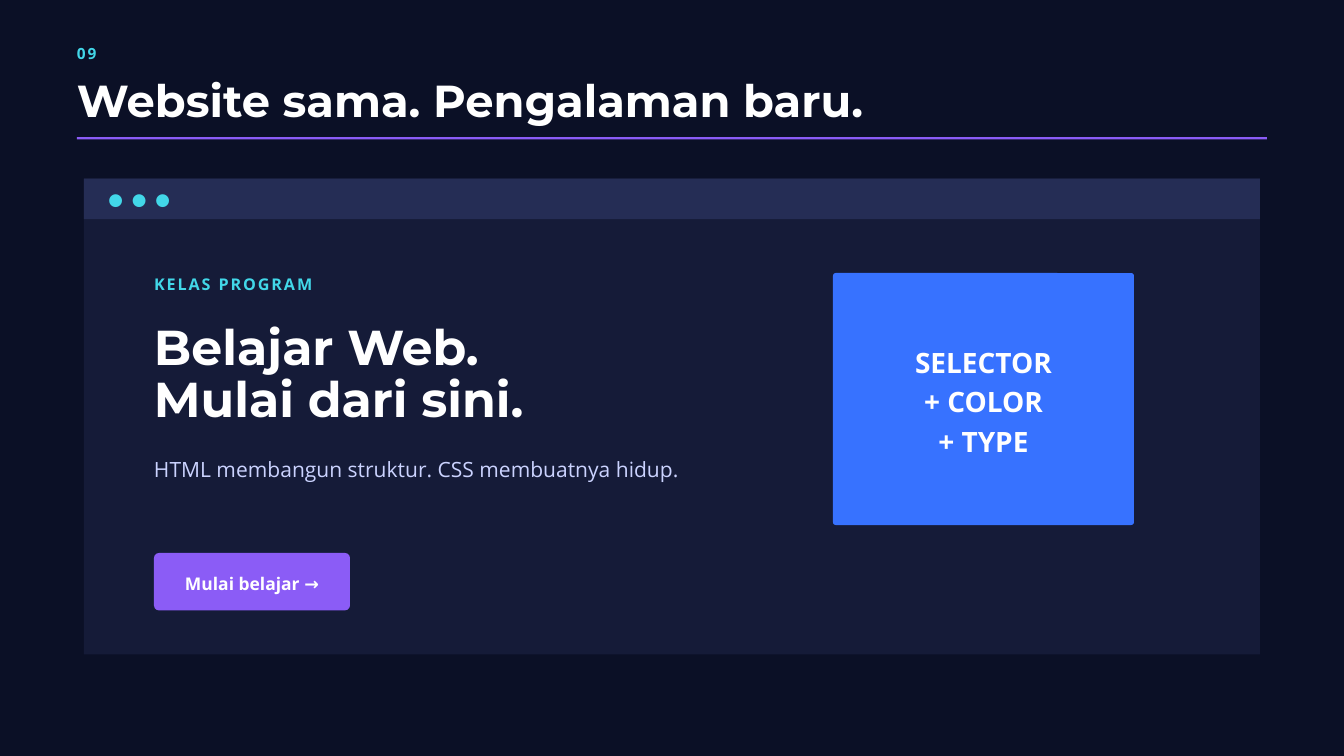
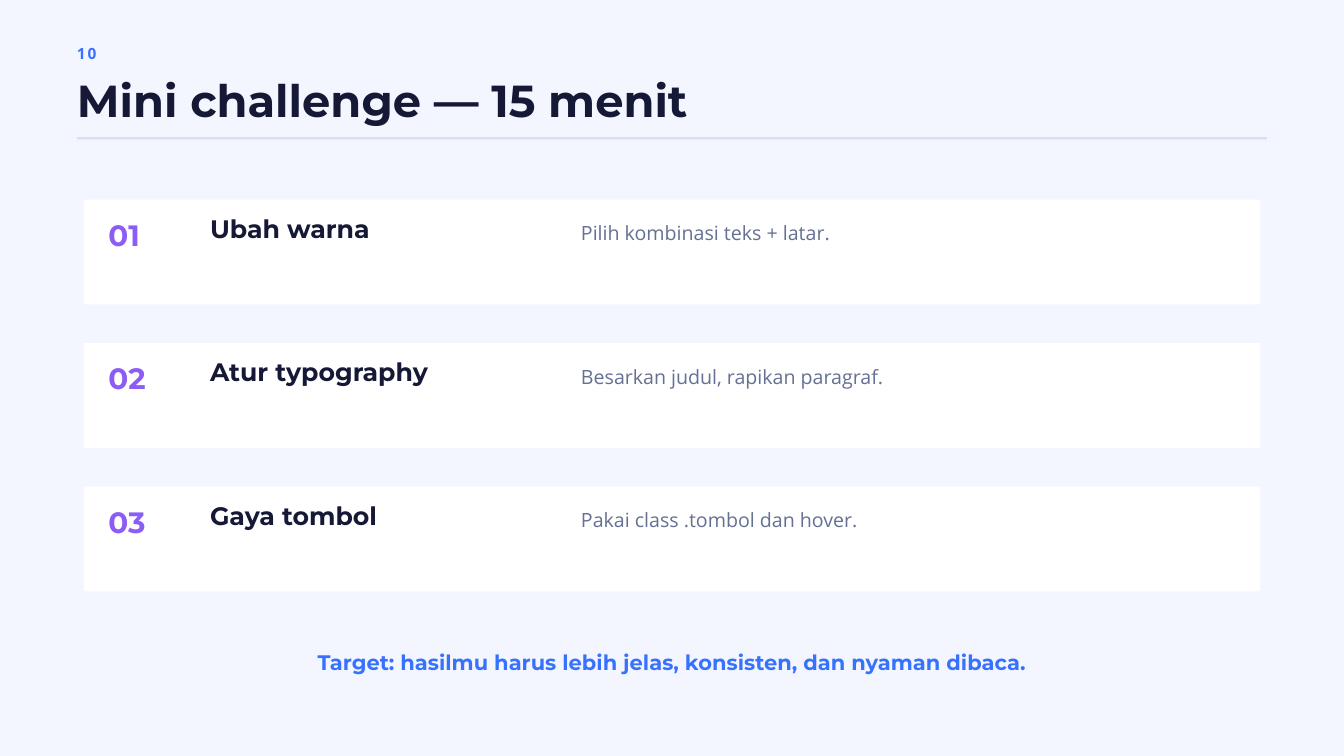
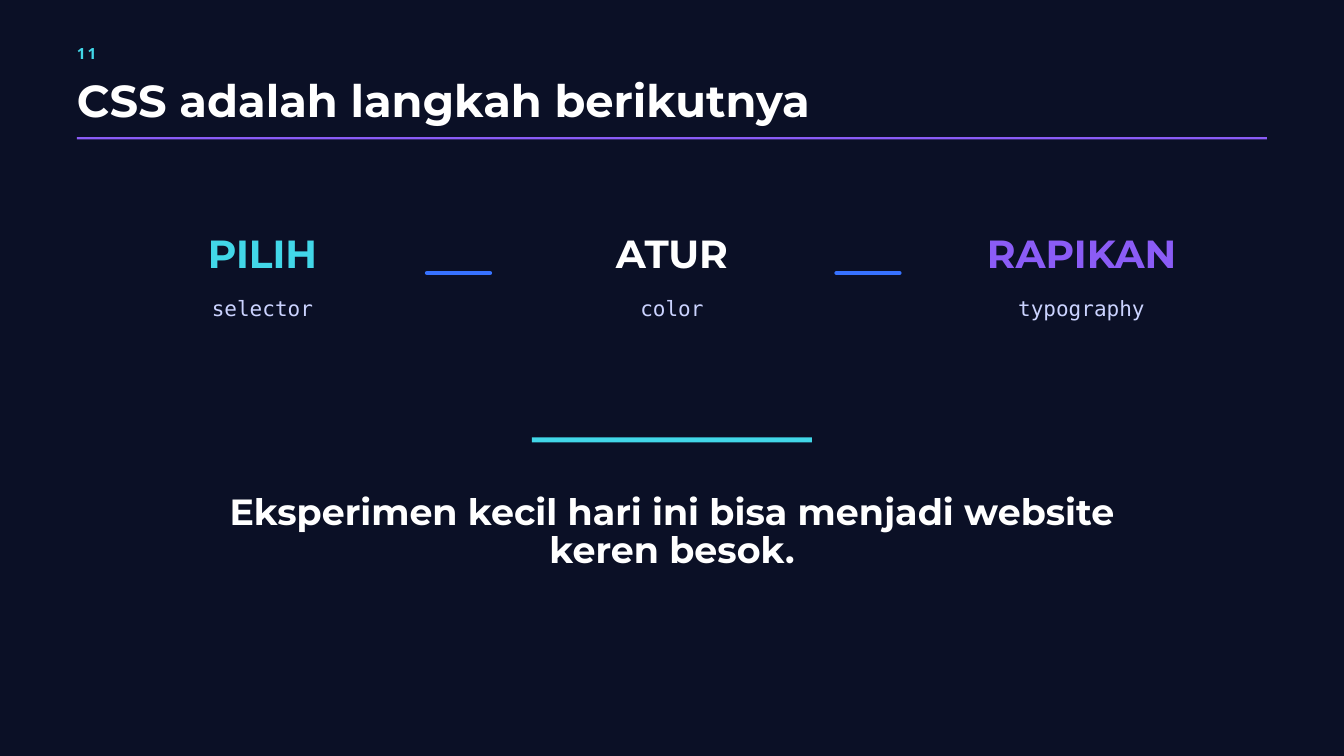
from lxml import etree
from pptx import Presentation
from pptx.dml.color import RGBColor
from pptx.enum.shapes import MSO_CONNECTOR, MSO_SHAPE
from pptx.enum.text import MSO_ANCHOR, MSO_AUTO_SIZE, PP_ALIGN
from pptx.oxml.ns import qn
from pptx.util import Emu

EMU_PER_PX = 9525
SLIDE_WIDTH, SLIDE_HEIGHT = 1920, 1080
BLANK_LAYOUT = 6

RECTANGLE = MSO_SHAPE.RECTANGLE
ROUNDED = MSO_SHAPE.ROUNDED_RECTANGLE
STRAIGHT = MSO_CONNECTOR.STRAIGHT
LEFT, CENTER = PP_ALIGN.LEFT, PP_ALIGN.CENTER
MIDDLE = MSO_ANCHOR.MIDDLE
FIT_SHAPE = MSO_AUTO_SIZE.SHAPE_TO_FIT_TEXT

COLORS = {
    "night": "0B1026",
    "mist": "F4F6FF",
    "panel": "151B38",
    "bar": "252D55",
    "ink": "151936",
    "slate": "657093",
    "lavender": "CBD3FF",
    "hairline": "D8DEF5",
    "white": "FFFFFF",
    "cyan": "42D7E8",
    "violet": "8B5CF6",
    "blue": "3772FF",
}

DISPLAY, BODY, MONO = "Montserrat", "Open Sans", "DejaVu Sans Mono"
LINE_HEIGHTS = {DISPLAY: 1.05, BODY: 1.4, MONO: 1.35}

DARK = {"background": "night", "number": "cyan", "title": "white", "rule": "violet"}
LIGHT = {"background": "mist", "number": "blue", "title": "ink", "rule": "hairline"}


def px(length):
    return Emu(round(length * EMU_PER_PX))


def rgb(name):
    return RGBColor.from_string(COLORS[name])


def write_text(frame, text, *, size, color, font=BODY, bold=False, align=LEFT, tracking=0):
    """Fill a frame, one paragraph a line; size is in px and tracking in em."""
    frame.word_wrap = True
    frame.margin_left = frame.margin_right = frame.margin_top = frame.margin_bottom = 0
    for index, line in enumerate(text.split("\n")):
        paragraph = frame.add_paragraph() if index else frame.paragraphs[0]
        paragraph.alignment = align
        paragraph.line_spacing = px(size * LINE_HEIGHTS[font])
        run = paragraph.add_run()
        run.text = line
        run.font.name = font
        run.font.size = px(size)
        run.font.bold = bold
        run.font.color.rgb = rgb(color)
        if tracking:
            run.font._element.set("spc", str(round(tracking * px(size).pt * 100)))


def add_text(slide, box, text, **text_format):
    shape = slide.shapes.add_textbox(*map(px, box))
    write_text(shape.text_frame, text, **text_format)
    shape.text_frame.auto_size = FIT_SHAPE


def add_block(slide, box, color, radius=0):
    shape = slide.shapes.add_shape(ROUNDED if radius else RECTANGLE, *map(px, box))
    if radius:
        shape.adjustments[0] = radius / min(box[2:])
    shape.shadow.inherit = False
    shape.fill.solid()
    shape.fill.fore_color.rgb = rgb(color)
    shape.line.fill.background()
    return shape


def add_label_block(slide, box, text, color, radius, size):
    frame = add_block(slide, box, color, radius).text_frame
    write_text(frame, text, size=size, color="white", bold=True, align=CENTER)
    frame.vertical_anchor = MIDDLE


def add_dash(slide, left, top, width):
    dash = slide.shapes.add_connector(STRAIGHT, px(left), px(top), px(left + width), px(top))
    dash.line.color.rgb = rgb("blue")
    dash.line.width = px(6)
    properties = dash.element.find(qn("p:spPr"))
    properties.find(qn("a:ln")).set("cap", "rnd")
    etree.SubElement(properties, qn("a:effectLst"))


def add_titled_slide(presentation, number, title, theme):
    slide = presentation.slides.add_slide(presentation.slide_layouts[BLANK_LAYOUT])
    slide.background.fill.solid()
    slide.background.fill.fore_color.rgb = rgb(theme["background"])
    left = 110
    add_text(slide, (left, 58, 180, 30), number,
             size=22, color=theme["number"], bold=True, tracking=0.12)
    add_text(slide, (left, 113, 1500, 68), title,
             size=64, color=theme["title"], font=DISPLAY, bold=True)
    add_block(slide, (left, 196, 1700, 3), theme["rule"])
    return slide


def add_browser_window(slide, box):
    left, top, width, _ = box
    add_block(slide, box, "panel")
    add_block(slide, (left, top, width, 58), "bar")
    add_text(slide, (left + 35, top + 10, 180, 32), "● ● ●",
             size=24, color="cyan", tracking=0.13)

    margin = left + 100
    add_text(slide, (margin, top + 132, 500, 31), "KELAS PROGRAM",
             size=23, color="cyan", bold=True, tracking=0.12)
    add_text(slide, (margin, top + 208, 850, 149), "Belajar Web.\nMulai dari sini.",
             size=70, color="white", font=DISPLAY, bold=True)
    add_text(slide, (margin, top + 391, 760, 40),
             "HTML membangun struktur. CSS membuatnya hidup.", size=30, color="lavender")
    add_label_block(slide, (margin, top + 535, 280, 82), "Mulai belajar →",
                    "violet", radius=7, size=25)
    add_label_block(slide, (left + 1070, top + 135, 430, 360),
                    "SELECTOR\n+ COLOR\n+ TYPE", "blue", radius=4, size=40)


def add_challenge_row(slide, box, number, task, hint):
    left, top = box[:2]
    add_block(slide, box, "white")
    add_text(slide, (left + 35, top + 31, 100, 47), number,
             size=42, color="violet", font=DISPLAY, bold=True)
    add_text(slide, (left + 180, top + 25, 470, 39), task,
             size=36, color="ink", font=DISPLAY, bold=True)
    add_text(slide, (left + 710, top + 25, 700, 36), hint, size=28, color="slate")


def add_step(slide, box, verb, topic, color):
    left, top, width, _ = box
    add_text(slide, (left, top, width, 60), verb,
             size=56, color=color, font=DISPLAY, bold=True, align=CENTER)
    add_text(slide, (left, top + 81, width, 38), topic,
             size=30, color="lavender", font=MONO, align=CENTER)


def build_result_slide(presentation):
    slide = add_titled_slide(presentation, "09", "Website sama. Pengalaman baru.", DARK)
    add_browser_window(slide, (120, 255, 1680, 680))


def build_challenge_slide(presentation):
    slide = add_titled_slide(presentation, "10", "Mini challenge — 15 menit", LIGHT)
    challenges = [
        ("Ubah warna", "Pilih kombinasi teks + latar."),
        ("Atur typography", "Besarkan judul, rapikan paragraf."),
        ("Gaya tombol", "Pakai class .tombol dan hover."),
    ]
    for index, (task, hint) in enumerate(challenges):
        box = (120, 285 + index * 205, 1680, 150)
        add_challenge_row(slide, box, f"{index + 1:02}", task, hint)
    add_text(slide, (220, 933, 1480, 33),
             "Target: hasilmu harus lebih jelas, konsisten, dan nyaman dibaca.",
             size=30, color="blue", font=DISPLAY, bold=True, align=CENTER)


def build_closing_slide(presentation):
    slide = add_titled_slide(presentation, "11", "CSS adalah langkah berikutnya", DARK)
    steps = [
        ("PILIH", "selector", "cyan"),
        ("ATUR", "color", "white"),
        ("RAPIKAN", "typography", "violet"),
    ]
    top, width, pitch = 336, 430, 585
    for index, (verb, topic, color) in enumerate(steps):
        left = 160 + index * pitch
        if index:
            add_dash(slide, left - 135, top + 54, 90)
        add_step(slide, (left, top, width, 119), verb, topic, color)
    add_block(slide, (760, 625, 400, 7), "cyan")
    add_text(slide, (260, 706, 1400, 109),
             "Eksperimen kecil hari ini bisa menjadi website keren besok.",
             size=52, color="white", font=DISPLAY, bold=True, align=CENTER)


def main():
    presentation = Presentation()
    presentation.slide_width = px(SLIDE_WIDTH)
    presentation.slide_height = px(SLIDE_HEIGHT)
    build_result_slide(presentation)
    build_challenge_slide(presentation)
    build_closing_slide(presentation)
    presentation.save("out.pptx")


if __name__ == "__main__":
    main()
